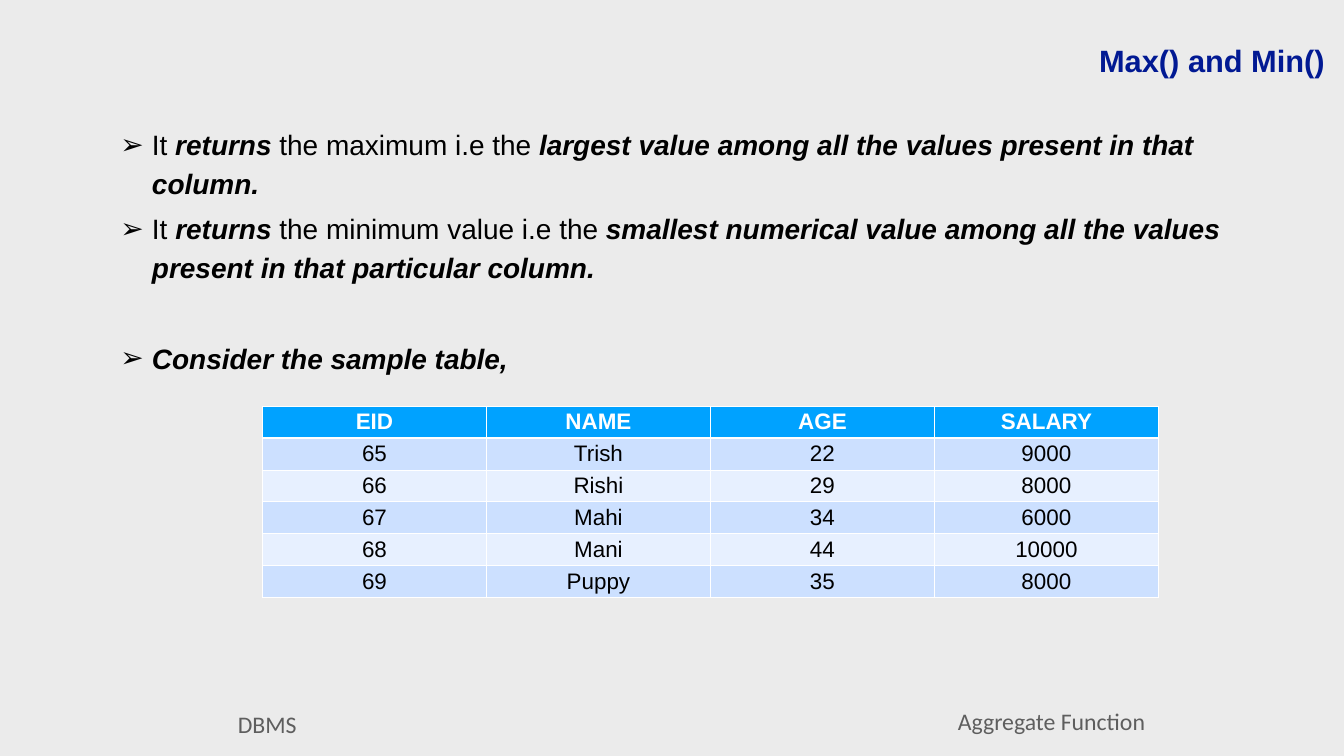
from dataclasses import dataclass

from lxml.etree import SubElement
from pptx import Presentation
from pptx.dml.color import RGBColor
from pptx.enum.text import MSO_ANCHOR, MSO_AUTO_SIZE, PP_ALIGN
from pptx.oxml.ns import qn
from pptx.util import Pt


@dataclass(frozen=True)
class Theme:
    background: str = "EBEBEB"
    heading: str = "011993"
    body: str = "000000"
    footer: str = "5E5E5E"
    header_text: str = "FFFFFF"
    header_fill: str = "00A2FF"
    band_fills: tuple[str, str] = ("CCE0FF", "E7F0FF")
    border: str = "FFFFFF"
    font: str = "Arial"
    footer_font: str = "Calibri"
    heading_size: float = 44
    body_size: float = 40
    footer_size: float = 34
    table_size: float = 32


@dataclass(frozen=True)
class Box:
    left: float
    top: float
    width: float
    height: float


@dataclass(frozen=True)
class Footer:
    text: str
    box: Box


@dataclass(frozen=True)
class Phrase:
    text: str
    strong: bool = False


@dataclass(frozen=True)
class Bullet:
    phrases: tuple[Phrase, ...]
    space_before: float = 0


THEME = Theme()
HEADING_BOX = Box(700.5, 56, 1196.5, 61)
BULLETS_BOX = Box(165, 171.5, 1639.5, 372)
TABLE_BOX = Box(375, 580, 1280, 273.6)

FOOTERS = (
    Footer("DBMS", Box(30, 1006, 703.5, 56)),
    Footer("Aggregate Function", Box(1150.5, 1001.5, 703.5, 56)),
)
BULLETS = (
    Bullet((
        Phrase("It"),
        Phrase(" returns", True),
        Phrase(" the maximum i.e the "),
        Phrase("largest value among all the values present in that column.", True),
    )),
    Bullet((
        Phrase("It "),
        Phrase("returns", True),
        Phrase(" the minimum value i.e the"),
        Phrase(" smallest numerical value among all the values present"
               " in that particular column.", True),
    )),
    Bullet((Phrase("Consider the sample table,", True),), space_before=65),
)
EMPLOYEES = (
    ("EID", "NAME", "AGE", "SALARY"),
    ("65", "Trish", "22", "9000"),
    ("66", "Rishi", "29", "8000"),
    ("67", "Mahi", "34", "6000"),
    ("68", "Mani", "44", "10000"),
    ("69", "Puppy", "35", "8000"),
)


def points(box: Box) -> tuple[Pt, Pt, Pt, Pt]:
    return Pt(box.left), Pt(box.top), Pt(box.width), Pt(box.height)


def add_run(paragraph, text: str, size: float, color: str, font: str = THEME.font,
            bold: bool = False, italic: bool = False) -> None:
    run = paragraph.add_run()
    run.text = text
    formats = {"size": Pt(size), "name": font, "bold": bold, "italic": italic}
    for name, value in formats.items():
        setattr(run.font, name, value)
    run.font.color.rgb = RGBColor.from_string(color)


def set_frame(frame, anchor: MSO_ANCHOR, inset: float) -> None:
    formats = {"word_wrap": True, "auto_size": MSO_AUTO_SIZE.NONE, "vertical_anchor": anchor}
    formats |= {f"margin_{side}": Pt(inset) for side in ("left", "top", "right", "bottom")}
    for name, value in formats.items():
        setattr(frame, name, value)


def add_footer(slide, footer: Footer) -> None:
    label = slide.shapes.add_textbox(*points(footer.box))
    label.fill.solid()
    label.fill.fore_color.rgb = RGBColor.from_string(THEME.background)
    set_frame(label.text_frame, MSO_ANCHOR.MIDDLE, 0)
    paragraph = label.text_frame.paragraphs[0]
    paragraph.alignment = PP_ALIGN.CENTER
    add_run(paragraph, footer.text, THEME.footer_size, THEME.footer, THEME.footer_font)


def fill_heading(slide, text: str) -> None:
    heading = slide.shapes.title
    heading.left, heading.top, heading.width, heading.height = points(HEADING_BOX)
    set_frame(heading.text_frame, MSO_ANCHOR.MIDDLE, 4)
    paragraph = heading.text_frame.paragraphs[0]
    paragraph.alignment = PP_ALIGN.RIGHT
    add_run(paragraph, text, THEME.heading_size, THEME.heading, bold=True)


def add_bullets(slide, bullets: tuple[Bullet, ...]) -> None:
    frame = slide.shapes.add_textbox(*points(BULLETS_BOX)).text_frame
    set_frame(frame, MSO_ANCHOR.TOP, 7.2)
    frame.margin_top = frame.margin_bottom = Pt(3.6)
    for index, bullet in enumerate(bullets):
        paragraph = frame.add_paragraph() if index else frame.paragraphs[0]
        paragraph.line_spacing = 1.15
        paragraph.space_before = Pt(bullet.space_before)
        paragraph.space_after = Pt(10)
        properties = paragraph._p.get_or_add_pPr()
        properties.set("marL", str(Pt(45)))
        properties.set("indent", str(Pt(-45)))
        SubElement(properties, qn("a:buFont"), typeface=THEME.font)
        SubElement(properties, qn("a:buChar"), char="➢")
        for phrase in bullet.phrases:
            add_run(paragraph, phrase.text, THEME.body_size, THEME.body,
                    bold=phrase.strong, italic=phrase.strong)


def set_borders(cell, widths: dict[str, float]) -> None:
    """Put border lines ahead of the fill, as the schema orders them."""
    properties = cell._tc.get_or_add_tcPr()
    for position, (side, width) in enumerate(widths.items()):
        line = SubElement(properties, qn(f"a:{side}"), w=str(Pt(width)))
        SubElement(SubElement(line, qn("a:solidFill")), qn("a:srgbClr"), val=THEME.border)
        properties.insert(position, line)


def add_employee_table(slide, rows: tuple[tuple[str, ...], ...]) -> None:
    table = slide.shapes.add_table(len(rows), len(rows[0]), *points(TABLE_BOX)).table
    for row_index, row in enumerate(rows):
        is_header = row_index == 0
        fill = THEME.header_fill if is_header else THEME.band_fills[(row_index - 1) % 2]
        color = THEME.header_text if is_header else THEME.body
        top = 3 if row_index == 1 else 1
        bottom = 3 if is_header else 1
        for column_index, value in enumerate(row):
            cell = table.cell(row_index, column_index)
            cell.vertical_anchor = MSO_ANCHOR.MIDDLE
            cell.fill.solid()
            cell.fill.fore_color.rgb = RGBColor.from_string(fill)
            set_borders(cell, {"lnL": 1, "lnR": 1, "lnT": top, "lnB": bottom})
            paragraph = cell.text_frame.paragraphs[0]
            paragraph.alignment = PP_ALIGN.CENTER
            add_run(paragraph, value, THEME.table_size, color, bold=is_header)


def main() -> None:
    presentation = Presentation()
    presentation.slide_width, presentation.slide_height = Pt(1920), Pt(1080)
    slide = presentation.slides.add_slide(presentation.slide_layouts[5])
    slide.background.fill.solid()
    slide.background.fill.fore_color.rgb = RGBColor.from_string(THEME.background)
    for footer in FOOTERS:
        add_footer(slide, footer)
    fill_heading(slide, "Max() and Min()")
    add_bullets(slide, BULLETS)
    add_employee_table(slide, EMPLOYEES)
    presentation.save("out.pptx")


if __name__ == "__main__":
    main()
